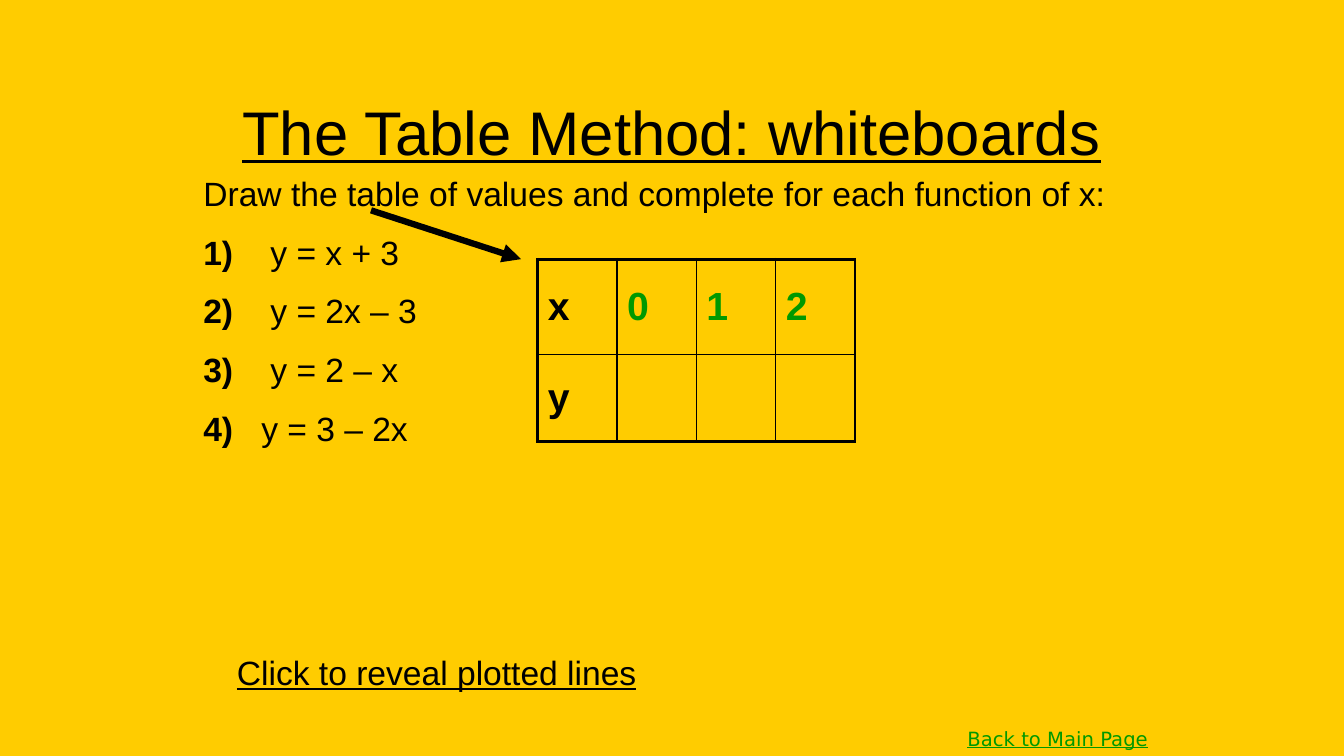
from dataclasses import dataclass

from lxml.etree import SubElement
from pptx import Presentation
from pptx.dml.color import RGBColor
from pptx.enum.shapes import MSO_CONNECTOR
from pptx.enum.text import MSO_ANCHOR, MSO_AUTO_SIZE, PP_ALIGN
from pptx.oxml.ns import qn
from pptx.util import Cm, Pt


@dataclass(frozen=True)
class Theme:
    background: RGBColor = RGBColor(0xFF, 0xCC, 0x00)
    ink: RGBColor = RGBColor(0x00, 0x00, 0x00)
    accent: RGBColor = RGBColor(0x00, 0x99, 0x00)
    font: str = "Arial"
    link_font: str = "DejaVu Sans"
    title_size: Pt = Pt(44)
    table_size: Pt = Pt(28)
    body_size: Pt = Pt(24)
    link_size: Pt = Pt(14)
    outer_border: Pt = Pt(2.25)
    inner_border: Pt = Pt(1)
    arrow: Pt = Pt(4.5)


theme = Theme()


def style_font(font, size, color=theme.ink, name=theme.font, bold=False, underline=False):
    font.name, font.size, font.bold, font.underline = name, size, bold, underline
    font.color.rgb = color


def add_border(cell, side, width):
    """Draw one cell side; side is L, R, T or B. Call before filling the cell."""
    properties = cell._tc.get_or_add_tcPr()
    line = SubElement(properties, qn(f"a:ln{side}"), w=str(width))
    fill = SubElement(line, qn("a:solidFill"))
    SubElement(fill, qn("a:srgbClr"), val=str(theme.ink))


presentation = Presentation()
presentation.slide_width, presentation.slide_height = Cm(33.87), Cm(19.05)
slide = presentation.slides.add_slide(presentation.slide_layouts[1])
slide.background.fill.solid()
slide.background.fill.fore_color.rgb = theme.background

# Title
title = slide.shapes.title
title.left, title.top, title.width, title.height = Cm(2.54), Cm(1.7), Cm(28.78), Cm(3.18)
title.text_frame.text = "The Table Method: whiteboards"
title.text_frame.vertical_anchor = MSO_ANCHOR.MIDDLE
title.text_frame.auto_size = MSO_AUTO_SIZE.NONE
paragraph = title.text_frame.paragraphs[0]
paragraph.alignment = PP_ALIGN.CENTER
style_font(paragraph.font, theme.title_size, underline=True)

# Instruction and numbered functions: number, function, text offset
lines = [
    ("", "Draw the table of values and complete for each function of x:", Cm(1.27)),
    ("1)", "y = x + 3", Cm(1.69)),
    ("2)", "y = 2x – 3", Cm(1.69)),
    ("3)", "y = 2 – x", Cm(1.69)),
    ("4)", "y = 3 – 2x", Cm(1.46)),
]
body = slide.placeholders[1]
body.left, body.top, body.width, body.height = Cm(4.87), Cm(4.24), Cm(24.56), Cm(7.44)
body.text_frame.auto_size = MSO_AUTO_SIZE.NONE
for index, (number, content, offset) in enumerate(lines):
    paragraph = body.text_frame.paragraphs[0] if index == 0 else body.text_frame.add_paragraph()
    properties = paragraph._p.get_or_add_pPr()
    properties.set("marL", str(offset))
    properties.set("indent", str(-offset))
    SubElement(properties, qn("a:buNone"))
    paragraph.space_before = Pt(13 if index else 0)
    style_font(paragraph.font, theme.body_size)
    if number:
        number_run = paragraph.add_run()
        number_run.text = number
        number_run.font.bold = True
        content = "\t" + content
    paragraph.add_run().text = content

# Underlined prompts
prompts = [
    ("Click to reveal plotted lines", Cm(5.72), Cm(16.3), Cm(14.6), Cm(1.27),
     theme.body_size, theme.ink, theme.font),
    ("Back to Main Page", Cm(24.13), Cm(18.2), Cm(5.29), Cm(0.85),
     theme.link_size, theme.accent, theme.link_font),
]
for content, left, top, width, height, size, color, name in prompts:
    frame = slide.shapes.add_textbox(left, top, width, height).text_frame
    frame.word_wrap = True
    frame.text = content
    style_font(frame.paragraphs[0].font, size, color, name, underline=True)

# Table of values
values = [["x", "0", "1", "2"], ["y", "", "", ""]]
row_heights = [Cm(2.4), Cm(2.2)]
column_width = Cm(2)
last_row, last_column = len(values) - 1, len(values[0]) - 1
table = slide.shapes.add_table(len(values), len(values[0]), Cm(13.55), Cm(6.53),
                               column_width * len(values[0]), sum(row_heights)).table
table.first_row = table.horz_banding = False
for column in table.columns:
    column.width = column_width
for row_index, row_values in enumerate(values):
    table.rows[row_index].height = row_heights[row_index]
    for column_index, value in enumerate(row_values):
        cell = table.cell(row_index, column_index)
        outer_sides = {"L": column_index == 0, "R": column_index == last_column,
                       "T": row_index == 0, "B": row_index == last_row}
        for side, is_outer in outer_sides.items():
            add_border(cell, side, theme.outer_border if is_outer else theme.inner_border)
        cell.fill.background()
        cell.vertical_anchor = MSO_ANCHOR.MIDDLE
        cell.text = value
        style_font(cell.text_frame.paragraphs[0].font, theme.table_size,
                   theme.accent if column_index else theme.ink, bold=True)

# Arrow from the instruction to the table
arrow = slide.shapes.add_connector(MSO_CONNECTOR.STRAIGHT, Cm(9.35), Cm(5.3), Cm(13.13), Cm(6.53))
arrow.line.color.rgb = theme.ink
arrow.line.width = theme.arrow
SubElement(arrow.line._get_or_add_ln(), qn("a:tailEnd"), type="triangle")
SubElement(arrow._element.spPr, qn("a:effectLst"))

presentation.save("out.pptx")
